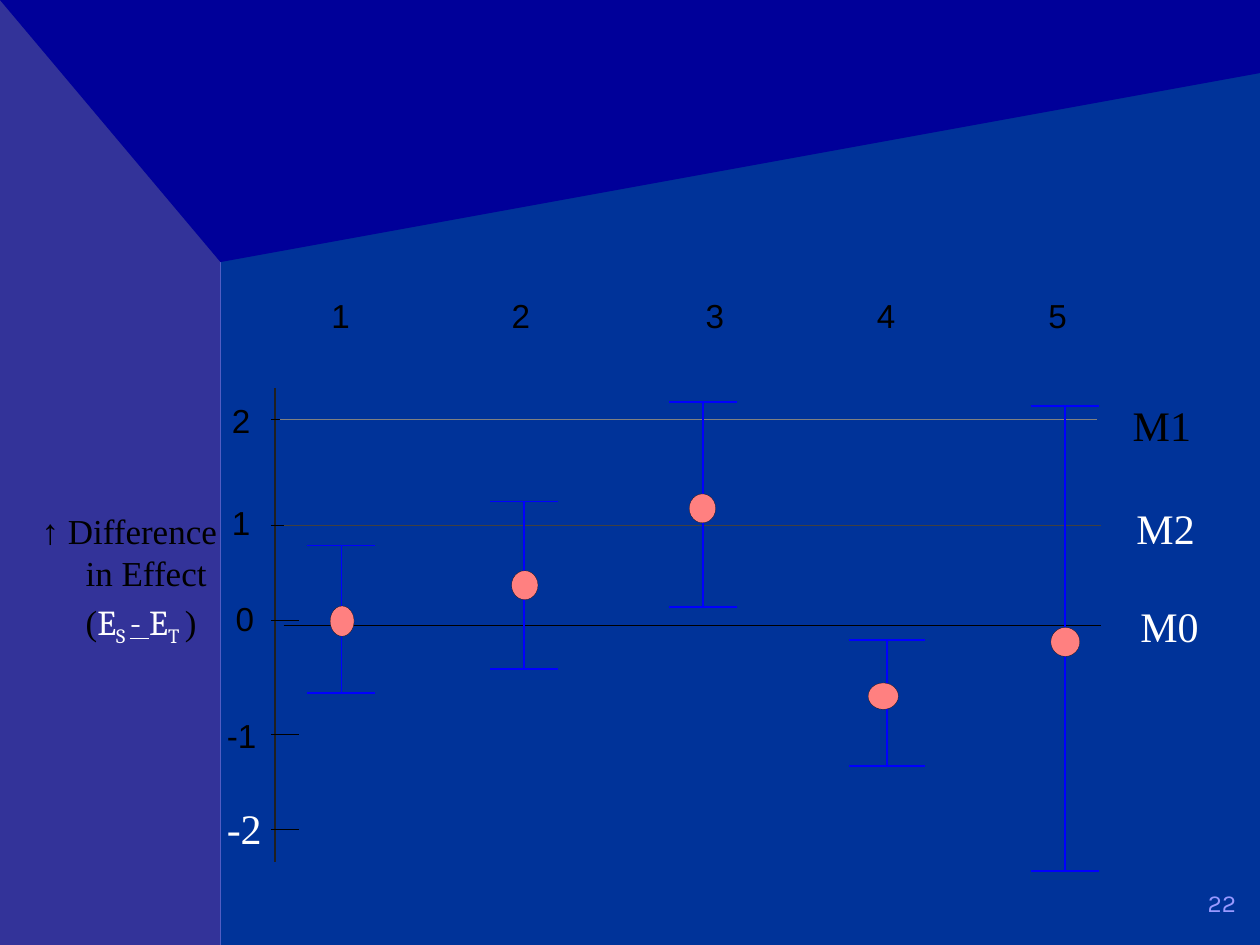
from dataclasses import dataclass

from lxml import etree
from pptx import Presentation
from pptx import util as u
from pptx.dml.color import RGBColor
from pptx.enum import dml, shapes, text
from pptx.oxml.ns import qn

HUES = {
    "back": "9999FF", "wall": "003399", "side": "333399", "roof": "000099",
    "bar": "0000FF", "dot": "FF8080", "ink": "000000", "pale": "FFFFFF",
    "axis": "202020", "grey": "808080", "dark": "404040",
}
SANS, SERIF, MATH = "Arial", "Times New Roman", "Cambria"
HAIR = 0.1


@dataclass
class Study:
    name: str
    left: float   # left edge of the number
    x: float      # middle of the error bar
    high: float
    low: float
    half: float   # half the cap width
    dot: tuple    # left, top, width, height


@dataclass
class Label:
    words: str
    x: float
    y: float
    wide: float
    size: float = 19
    face: str = SANS
    hue: str = "ink"


@dataclass
class Part:
    words: str
    face: str = SERIF
    hue: str = "ink"
    size: float = 20
    sub: bool = False
    under: bool = False


STUDIES = [
    Study("1", 2.63, 2.71, 4.33, 5.5, 0.27, (2.62, 4.81, 0.19, 0.24)),
    Study("2", 4.06, 4.16, 3.98, 5.31, 0.27, (4.06, 4.53, 0.21, 0.23)),
    Study("3", 5.6, 5.58, 3.19, 4.82, 0.27, (5.47, 3.92, 0.21, 0.23)),
    Study("4", 6.96, 7.04, 5.08, 6.08, 0.3, (6.89, 5.42, 0.24, 0.21)),
    Study("5", 8.32, 8.45, 3.22, 6.91, 0.27, (8.34, 4.98, 0.23, 0.23)),
]
LABELS = [
    Label("2", 1.84, 3.18, 0.15),
    Label("1", 1.84, 3.99, 0.15),
    Label("0", 1.87, 4.75, 0.15),
    Label("-1", 1.8, 5.68, 0.24),
    Label("-2", 1.8, 6.37, 0.28, 24, SERIF, "pale"),
    Label("M1", 8.99, 3.17, 0.5, 24, SERIF),
    Label("M2", 9.02, 3.99, 0.5, 24, SERIF, "pale"),
    Label("M0", 9.05, 4.77, 0.5, 24, SERIF, "pale"),
]
TICKS = [(3.33, 2.34), (4.17, 2.34), (4.92, 2.37), (5.83, 2.37), (6.58, 2.37)]
RULES = [(2.22, 3.33, 8.7, "grey"), (2.25, 4.17, 8.73, "dark"),
         (2.25, 4.96, 8.73, "ink")]
TITLE = [
    [Part("↑", SANS), Part(" Difference")],
    [Part("in Effect")],
    [Part("("), Part("E", MATH, "pale"), Part("S ", MATH, "pale", sub=True),
     Part("- ", MATH, "pale", under=True), Part("E", MATH, "pale"),
     Part("T", MATH, "pale", sub=True),
     Part(" ", MATH, "pale", 24, sub=True), Part(")")],
]


def tint(name: str) -> RGBColor:
    return RGBColor.from_string(HUES[name])


def paint(shape, hue: str, edge: str = "") -> None:
    shape.shadow.inherit = False
    shape.fill.solid()
    shape.fill.fore_color.rgb = tint(hue)
    if edge:
        shape.line.color.rgb = tint(edge)
        shape.line.width = u.Pt(HAIR)
    else:
        shape.line.fill.background()


def block(slide, kind, box: tuple, hue: str, edge: str = "") -> None:
    paint(slide.shapes.add_shape(kind, *map(u.Inches, box)), hue, edge)


def line(slide, start: tuple, end: tuple, hue: str, wide: float = HAIR,
         dots: bool = False) -> None:
    link = slide.shapes.add_connector(
        shapes.MSO_CONNECTOR.STRAIGHT, *map(u.Inches, start + end))
    link.line.color.rgb = tint(hue)
    link.line.width = u.Pt(wide)
    if dots:
        link.line.dash_style = dml.MSO_LINE.ROUND_DOT
    etree.SubElement(link._element.spPr, qn("a:effectLst"))


def frame(slide, x: float, y: float, wide: float, high: float):
    box = slide.shapes.add_textbox(*map(u.Inches, (x, y, wide, high)))
    body = box.text_frame
    body.margin_left = body.margin_right = 0
    body.margin_top = body.margin_bottom = 0
    return body


def style(run, face: str, size: float, hue: str) -> None:
    run.font.name = face
    run.font.size = u.Pt(size)
    run.font.color.rgb = tint(hue)


def label(slide, tag: Label) -> None:
    body = frame(slide, tag.x, tag.y, tag.wide, tag.size / 60)
    body.word_wrap = False
    body.text = tag.words
    style(body.paragraphs[0].runs[0], tag.face, tag.size, tag.hue)


def room(slide) -> None:
    rect = shapes.MSO_SHAPE.RECTANGLE
    block(slide, rect, (1.75, 0, 8.25, 7.5), "wall")
    block(slide, rect, (0, 0, 1.75, 7.5), "side")
    # Roof corners in hundredths of an inch
    roof = slide.shapes.build_freeform(0, 0, scale=u.Inches(0.01))
    roof.add_line_segments([(175, 208), (1000, 58), (1000, 0)], close=True)
    paint(roof.convert_to_shape(), "roof")


def title(slide) -> None:
    body = frame(slide, 0.33, 4.04, 1.5, 1.07)
    body.word_wrap = False
    for num, parts in enumerate(TITLE):
        para = body.add_paragraph() if num else body.paragraphs[0]
        if num:
            para._p.get_or_add_pPr().set("marL", str(u.Inches(0.35)))
        for part in parts:
            run = para.add_run()
            run.text = part.words
            style(run, part.face, part.size, part.hue)
            if part.under:
                run.font.underline = True
            if part.sub:
                run.font._element.set("baseline", "-25000")


def plot(slide) -> None:
    # Axis, ticks and margin lines
    line(slide, (2.18, 3.08), (2.18, 6.84), "axis", 1)
    for y, end in TICKS:
        line(slide, (2.15, y), (end, y), "ink")
    for x, y, end, hue in RULES:
        line(slide, (x, y), (end, y), hue, dots=True)
    # Error bars with caps and point estimates
    for item in STUDIES:
        line(slide, (item.x, item.high), (item.x, item.low), "bar", 1)
        for y in (item.high, item.low):
            line(slide, (item.x - item.half, y), (item.x + item.half, y),
                 "bar", 1)
        block(slide, shapes.MSO_SHAPE.OVAL, item.dot, "dot", "ink")
        label(slide, Label(item.name, item.left, 2.34, 0.15))
    for tag in LABELS:
        label(slide, tag)


def number(slide) -> None:
    body = frame(slide, 7.93, 7.05, 1.88, 0.4)
    body.word_wrap = True
    body.text = "22"
    para = body.paragraphs[0]
    para.alignment = text.PP_ALIGN.RIGHT
    style(para.runs[0], "Karla", 14, "back")


def main() -> None:
    deck = Presentation()
    deck.slide_width, deck.slide_height = u.Inches(10), u.Inches(7.5)
    slide = deck.slides.add_slide(deck.slide_layouts[6])
    slide.background.fill.solid()
    slide.background.fill.fore_color.rgb = tint("back")
    room(slide)
    plot(slide)
    title(slide)
    number(slide)
    deck.save("out.pptx")


if __name__ == "__main__":
    main()
